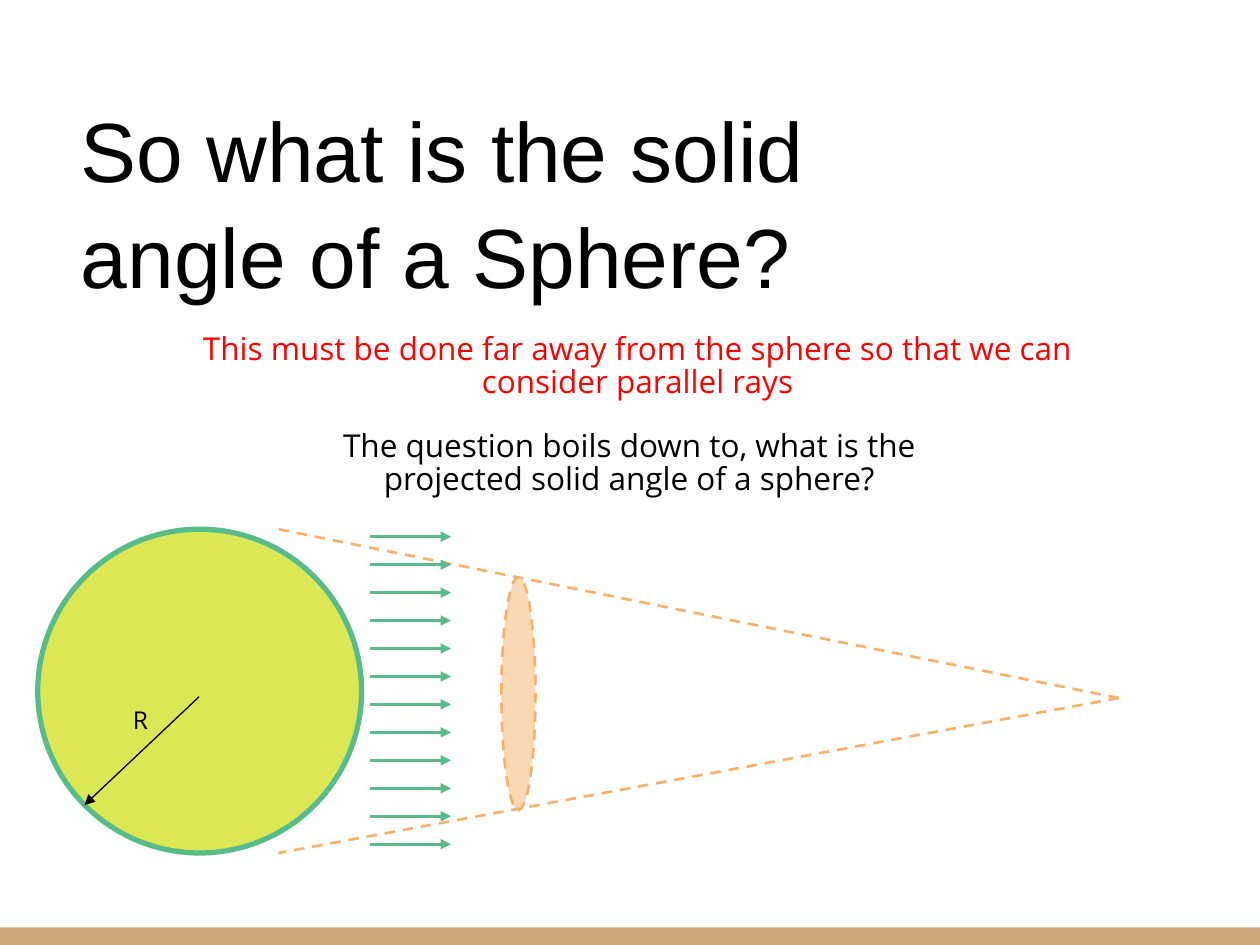
from dataclasses import dataclass

from pptx import Presentation
from pptx.dml.color import RGBColor
from pptx.enum.dml import MSO_LINE_DASH_STYLE as Dash
from pptx.enum.shapes import MSO_CONNECTOR as Connector, MSO_SHAPE as Shape
from pptx.enum.text import MSO_ANCHOR as Anchor, MSO_AUTO_SIZE as AutoSize, PP_ALIGN as Align
from pptx.oxml.ns import qn
from pptx.util import Inches, Pt
from lxml.etree import SubElement


@dataclass(frozen=True)
class Theme:
    black: str = "000000"
    red: str = "FF0000"
    tan: str = "CCA677"
    lime: str = "DCE755"
    green: str = "57BB8A"
    orange: str = "F6B26B"
    title_font: str = "Arial"
    body_font: str = "Open Sans"
    title_size: int = 48
    body_size: int = 18
    label_size: int = 14


THEME = Theme()


def style_line(line, color, width, dashed=False):
    line.color.rgb = RGBColor.from_string(color)
    line.width = Pt(width)
    if dashed:
        line.dash_style = Dash.DASH


def style_text(shape, text, font, size, color, align, spacing, anchor):
    frame = shape.text_frame
    frame.word_wrap = True
    frame.auto_size = AutoSize.NONE
    frame.vertical_anchor = anchor
    frame.margin_left = frame.margin_right = Inches(0.1)
    frame.margin_top = frame.margin_bottom = Inches(0.1)
    paragraph = frame.paragraphs[0]
    paragraph.text = text
    paragraph.alignment = align
    paragraph.line_spacing = spacing
    paragraph.font.name = font
    paragraph.font.size = Pt(size)
    paragraph.font.color.rgb = RGBColor.from_string(color)


def add_title(slide, text, left, top, width, height):
    title = slide.shapes.title
    title.left, title.top = Inches(left), Inches(top)
    title.width, title.height = Inches(width), Inches(height)
    style_text(title, text, THEME.title_font, THEME.title_size, THEME.black,
               Align.LEFT, 1.05, Anchor.MIDDLE)


def add_text(slide, text, left, top, width, height, size=THEME.body_size,
             color=THEME.black, anchor=Anchor.TOP):
    box = slide.shapes.add_textbox(Inches(left), Inches(top), Inches(width), Inches(height))
    style_text(box, text, THEME.body_font, size, color, Align.CENTER, 0.88, anchor)


def add_filled(shapes, kind, left, top, width, height, color):
    shape = shapes.add_shape(kind, Inches(left), Inches(top), Inches(width), Inches(height))
    shape.shadow.inherit = False
    shape.fill.solid()
    shape.fill.fore_color.rgb = RGBColor.from_string(color)
    shape.line.fill.background()
    return shape


def set_opacity(shape, percent):
    color = shape.fill._xPr.find(qn("a:solidFill")).find(qn("a:srgbClr"))
    SubElement(color, qn("a:alpha"), val=str(percent * 1000))


def add_line(shapes, start, end, color, width, dashed=False, arrow=False):
    points = [Inches(value) for value in (*start, *end)]
    connector = shapes.add_connector(Connector.STRAIGHT, *points)
    style_line(connector.line, color, width, dashed)
    if arrow:
        SubElement(connector.line._get_or_add_ln(), qn("a:tailEnd"), type="triangle")
    SubElement(connector._element.spPr, qn("a:effectLst"))


def add_sphere(slide):
    sphere = add_filled(slide.shapes, Shape.OVAL, 0.3, 4.2, 2.57, 2.57, THEME.lime)
    style_line(sphere.line, THEME.green, 3)
    add_line(slide.shapes, (1.58, 5.53), (0.67, 6.39), THEME.black, 0.75, arrow=True)
    add_text(slide, "R", 0.91, 5.6, 0.41, 0.26, THEME.label_size, anchor=Anchor.MIDDLE)


def add_cone(slide):
    cone = slide.shapes.add_group_shape().shapes
    for edge_y in (4.2, 6.77):
        add_line(cone, (8.88, 5.54), (2.21, edge_y), THEME.orange, 1.5, dashed=True)
    section = add_filled(cone, Shape.OVAL, 3.98, 4.58, 0.27, 1.85, THEME.orange)
    set_opacity(section, 50)
    style_line(section.line, THEME.orange, 1.5, dashed=True)


def add_rays(slide, count=12, first_y=4.26, last_y=6.7):
    rays = slide.shapes.add_group_shape().shapes
    step = (last_y - first_y) / (count - 1)
    for index in range(count):
        y = first_y + index * step
        add_line(rays, (2.94, y), (3.58, y), THEME.green, 1.5, arrow=True)


def main():
    presentation = Presentation()
    presentation.slide_width, presentation.slide_height = Inches(10), Inches(7.5)
    slide = presentation.slides.add_slide(presentation.slide_layouts[5])

    # Footer bar
    add_filled(slide.shapes, Shape.RECTANGLE, 0, 7.36, 10, 0.14, THEME.tan)

    # Diagram: sphere, cone of view, parallel rays
    add_sphere(slide)
    add_cone(slide)
    add_rays(slide)

    # Title and explanations
    add_title(slide, "So what is the solid angle of a Sphere?", 0.54, 0.66, 6.43, 1.84)
    add_text(slide, "This must be done far away from the sphere so that we can "
             "consider parallel rays", 1.15, 2.55, 7.82, 1.28, color=THEME.red)
    add_text(slide, "The question boils down to, what is the projected solid angle "
             "of a sphere?", 2.14, 3.32, 5.71, 0.86)

    presentation.save("out.pptx")


if __name__ == "__main__":
    main()
